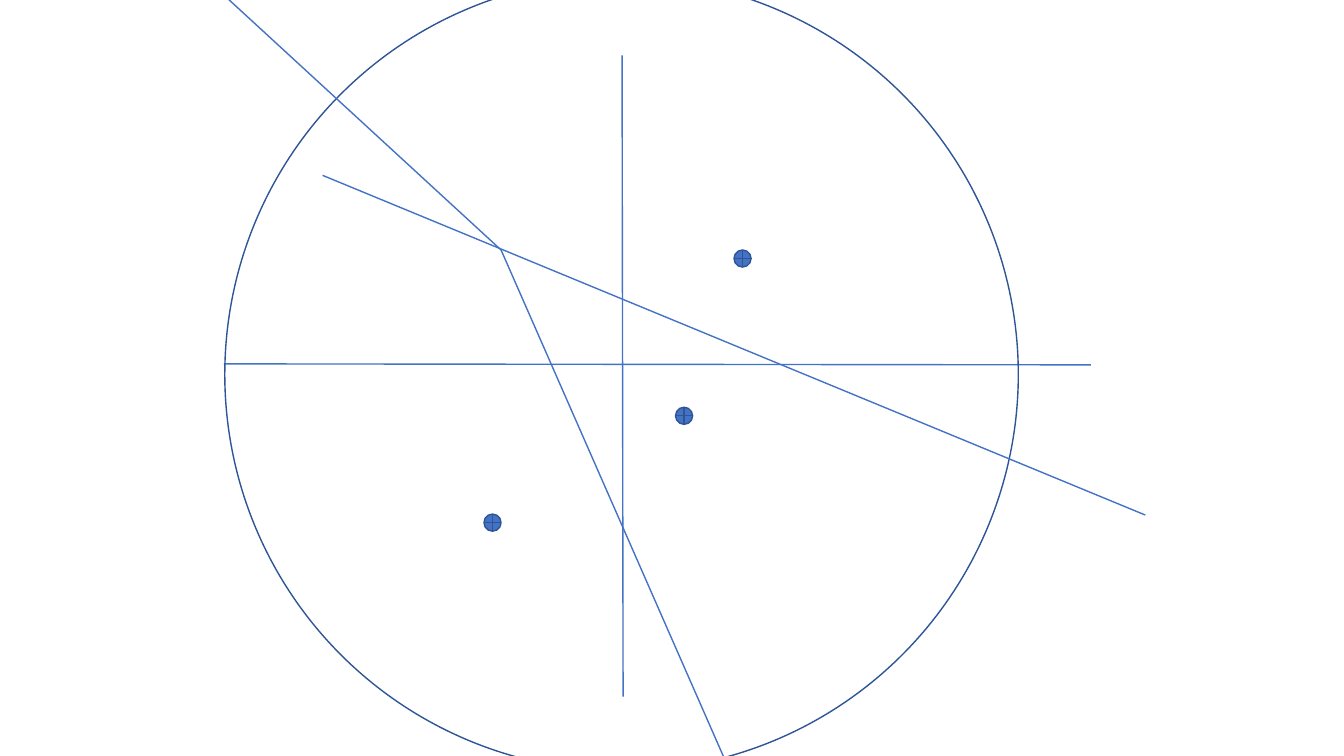
from typing import NamedTuple

from lxml import etree
from pptx import Presentation
from pptx import util as u
from pptx.dml.color import RGBColor
from pptx.enum import shapes
from pptx.oxml.ns import qn

BLUE = RGBColor(0x44, 0x72, 0xC4)
DARK_BLUE = RGBColor(0x2F, 0x55, 0x97)
LINE_WIDTH = u.Pt(1)
SITE_SIZE = 0.17


class Point(NamedTuple):
    x: float
    y: float


class Segment(NamedTuple):
    start: Point
    end: Point


VERTEX = Point(4.97, 2.48)
AXES = [
    Segment(Point(2.22, 3.61), Point(10.82, 3.62)),
    Segment(Point(6.17, 0.55), Point(6.18, 6.91)),
]
BISECTORS = [
    Segment(Point(3.2, 1.74), Point(11.36, 5.11)),
    Segment(VERTEX, Point(7.27, 7.72)),
    Segment(VERTEX, Point(1.6, -0.62)),
]
CIRCLE_CORNER, CIRCLE_SIZE = Point(2.23, -0.22), 7.87
SITE_CORNERS = [Point(6.7, 4.04), Point(7.28, 2.48), Point(4.8, 5.1)]


def draw_segment(page, segment: Segment) -> None:
    line = page.shapes.add_connector(
        shapes.MSO_CONNECTOR.STRAIGHT,
        *(u.Inches(value) for point in segment for value in point),
    )
    line.line.color.rgb = BLUE
    line.line.width = LINE_WIDTH
    etree.SubElement(line._element.spPr, qn("a:effectLst"))


def draw_round(page, kind: shapes.MSO_SHAPE, corner: Point, size: float,
               fill: RGBColor | None = None) -> None:
    """Draw a round shape, hollow when no fill is given."""
    shape = page.shapes.add_shape(
        kind, *(u.Inches(value) for value in (*corner, size, size))
    )
    shape.shadow.inherit = False
    if fill is None:
        shape.fill.background()
    else:
        shape.fill.solid()
        shape.fill.fore_color.rgb = fill
    shape.line.color.rgb = DARK_BLUE
    shape.line.width = LINE_WIDTH


def main() -> None:
    deck = Presentation()
    deck.slide_width, deck.slide_height = u.Inches(13.33), u.Inches(7.5)
    page = deck.slides.add_slide(deck.slide_layouts[6])

    for axis in AXES:
        draw_segment(page, axis)
    draw_round(page, shapes.MSO_SHAPE.FLOWCHART_CONNECTOR, CIRCLE_CORNER, CIRCLE_SIZE)
    for corner in SITE_CORNERS:
        draw_round(page, shapes.MSO_SHAPE.FLOWCHART_OR, corner, SITE_SIZE, BLUE)
    for bisector in BISECTORS:
        draw_segment(page, bisector)

    deck.save("out.pptx")


if __name__ == "__main__":
    main()
